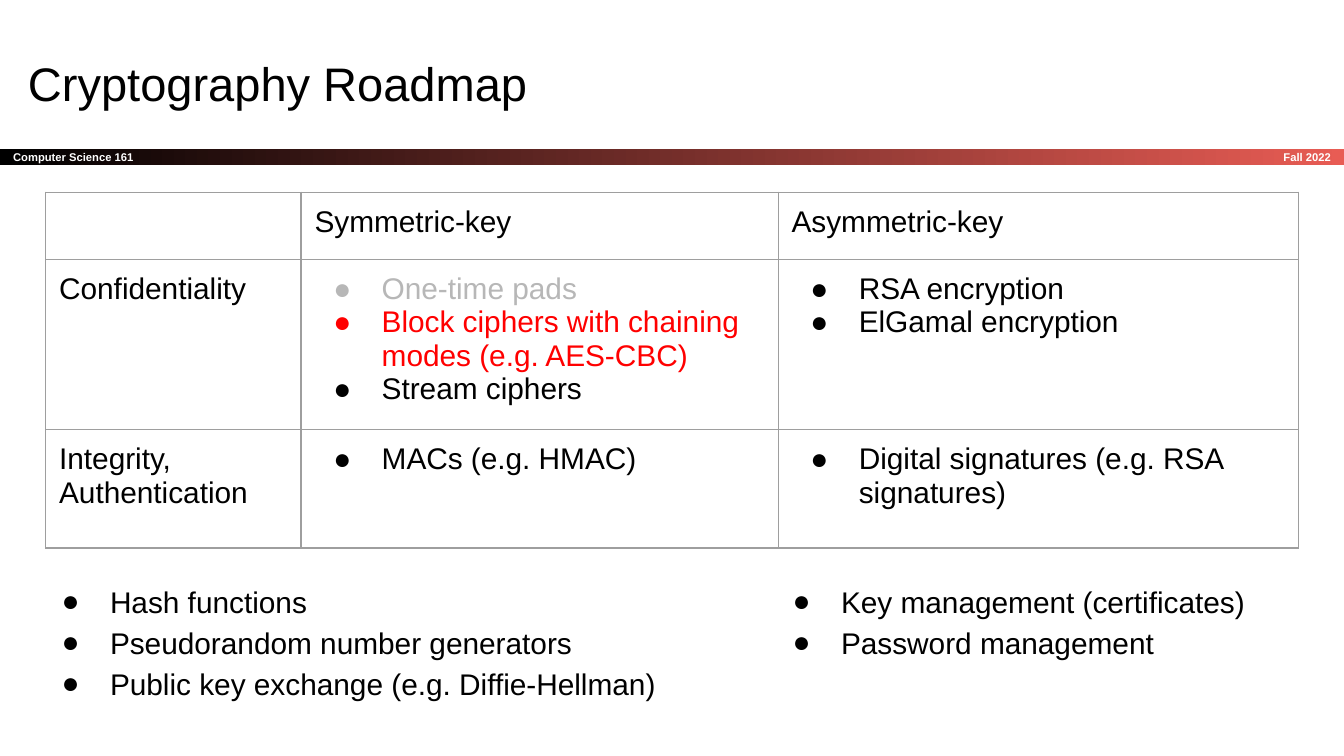
from pptx import Presentation
from pptx.dml.color import RGBColor
from pptx.enum.shapes import MSO_SHAPE
from pptx.enum.text import MSO_ANCHOR, PP_ALIGN
from pptx.oxml.ns import qn
from pptx.util import Inches, Pt
from lxml import etree

RECTANGLE = MSO_SHAPE.RECTANGLE
TOP, MIDDLE = MSO_ANCHOR.TOP, MSO_ANCHOR.MIDDLE
LEFT, RIGHT = PP_ALIGN.LEFT, PP_ALIGN.RIGHT

BLACK = RGBColor(0x00, 0x00, 0x00)
WHITE = RGBColor(0xFF, 0xFF, 0xFF)
CORAL = RGBColor(0xE8, 0x5C, 0x54)
RED = RGBColor(0xFF, 0x00, 0x00)
FADED = RGBColor(0xB7, 0xB7, 0xB7)
BORDER = RGBColor(0x9E, 0x9E, 0x9E)

FONT = "Arial"
BODY_SIZE = 16
SLIDE_WIDTH = 10
SLIDE_HEIGHT = SLIDE_WIDTH * 9 / 16

COLUMN_WIDTHS = [1.9, 3.55, 3.87]
ROW_HEIGHTS = [0.41, 0.88, 0.88]  # minimum heights; rows grow with their text
# A string is a plain cell; a list of (text, colour) is a bulleted cell
ROADMAP = [
    ["", "Symmetric-key", "Asymmetric-key"],
    ["Confidentiality",
     [("One-time pads", FADED),
      ("Block ciphers with chaining modes (e.g. AES-CBC)", RED),
      ("Stream ciphers", BLACK)],
     [("RSA encryption", BLACK), ("ElGamal encryption", BLACK)]],
    ["Integrity,\nAuthentication",
     [("MACs (e.g. HMAC)", BLACK)],
     [("Digital signatures (e.g. RSA signatures)", BLACK)]],
]
PRIMITIVES = ["Hash functions", "Pseudorandom number generators",
              "Public key exchange (e.g. Diffie-Hellman)"]
MANAGEMENT = ["Key management (certificates)", "Password management"]


def style_paragraph(paragraph, size, color, bold=False):
    font = paragraph.font
    font.name, font.size, font.bold = FONT, Pt(size), bold
    font.color.rgb = color


def add_bullet(paragraph, color):
    properties = paragraph._p.get_or_add_pPr()
    properties.set("marL", str(Inches(0.5)))
    properties.set("indent", str(Inches(-0.36)))
    bullet_color = etree.SubElement(properties, qn("a:buClr"))
    etree.SubElement(bullet_color, qn("a:srgbClr"), val=str(color))
    etree.SubElement(properties, qn("a:buFont"), typeface=FONT)
    etree.SubElement(properties, qn("a:buChar"), char="●")


def fill_bullets(text_frame, items, line_spacing=None):
    for index, (text, color) in enumerate(items):
        paragraph = text_frame.paragraphs[0] if index == 0 else text_frame.add_paragraph()
        paragraph.text = text
        if line_spacing:
            paragraph.line_spacing = line_spacing
        add_bullet(paragraph, color)
        style_paragraph(paragraph, BODY_SIZE, color)


def set_frame(text_frame, anchor):
    text_frame.word_wrap = True
    text_frame.vertical_anchor = anchor
    text_frame.margin_left = text_frame.margin_right = Inches(0.1)
    text_frame.margin_top = text_frame.margin_bottom = Inches(0.1)


def add_text_box(slide, box, anchor):
    text_frame = slide.shapes.add_textbox(*map(Inches, box)).text_frame
    set_frame(text_frame, anchor)
    return text_frame


def write_line(text_frame, text, size, color, bold=False, alignment=LEFT):
    paragraph = text_frame.paragraphs[0]
    paragraph.text = text
    paragraph.alignment = alignment
    style_paragraph(paragraph, size, color, bold)


def add_course_bar(slide, left, top, width, height):
    # Gradient band with the course name
    bar = slide.shapes.add_shape(RECTANGLE, *map(Inches, (left, top, width, height)))
    bar.shadow.inherit = False
    bar.line.fill.background()
    bar.fill.gradient()
    bar.fill.gradient_angle = 0
    for stop, color, position in zip(bar.fill.gradient_stops, (BLACK, CORAL), (0, 1)):
        stop.color.rgb = color
        stop.position = position
    set_frame(bar.text_frame, MIDDLE)
    write_line(bar.text_frame, "Computer Science 161", 6, WHITE, bold=True)

    # Term at the right end
    term_width = 1.66
    term = add_text_box(slide, (left + width - term_width, top, term_width, height), MIDDLE)
    write_line(term, "Fall 2022", 6, WHITE, bold=True, alignment=RIGHT)


def add_title(slide, box):
    write_line(add_text_box(slide, box, MIDDLE), "Cryptography Roadmap", 25.2, BLACK)


def add_cell_borders(cell):
    properties = cell._tc.get_or_add_tcPr()
    for position, side in enumerate(("a:lnL", "a:lnR", "a:lnT", "a:lnB")):
        line = etree.Element(qn(side), w=str(Pt(0.75)))
        fill = etree.SubElement(line, qn("a:solidFill"))
        etree.SubElement(fill, qn("a:srgbClr"), val=str(BORDER))
        properties.insert(position, line)


def add_roadmap_table(slide, left, top):
    frame = slide.shapes.add_table(
        len(ROW_HEIGHTS), len(COLUMN_WIDTHS), Inches(left), Inches(top),
        Inches(sum(COLUMN_WIDTHS)), Inches(sum(ROW_HEIGHTS)))
    table = frame.table
    table.first_row = table.horz_banding = False
    for column, width in zip(table.columns, COLUMN_WIDTHS):
        column.width = Inches(width)
    for row, height, contents in zip(table.rows, ROW_HEIGHTS, ROADMAP):
        row.height = Inches(height)
        for cell, content in zip(row.cells, contents):
            cell.fill.background()
            add_cell_borders(cell)
            cell.margin_left = cell.margin_right = Inches(0.1)
            cell.margin_top = cell.margin_bottom = Inches(0.1)
            if isinstance(content, list):
                fill_bullets(cell.text_frame, content)
            elif content:
                write_line(cell.text_frame, content, BODY_SIZE, BLACK)


def add_bullet_list(slide, box, items):
    text_frame = add_text_box(slide, box, TOP)
    fill_bullets(text_frame, [(item, BLACK) for item in items], line_spacing=1.15)


def main():
    presentation = Presentation()
    presentation.slide_width = Inches(SLIDE_WIDTH)
    presentation.slide_height = Inches(SLIDE_HEIGHT)
    slide = presentation.slides.add_slide(presentation.slide_layouts[6])

    add_course_bar(slide, 0, 1.11, SLIDE_WIDTH, 0.12)
    add_title(slide, (0.11, 0.3, 9.32, 0.63))
    add_roadmap_table(slide, 0.34, 1.43)
    add_bullet_list(slide, (0.22, 4.2, 4.78, 1.28), PRIMITIVES)
    add_bullet_list(slide, (5.66, 4.2, 3.77, 0.78), MANAGEMENT)
    presentation.save("out.pptx")


if __name__ == "__main__":
    main()
